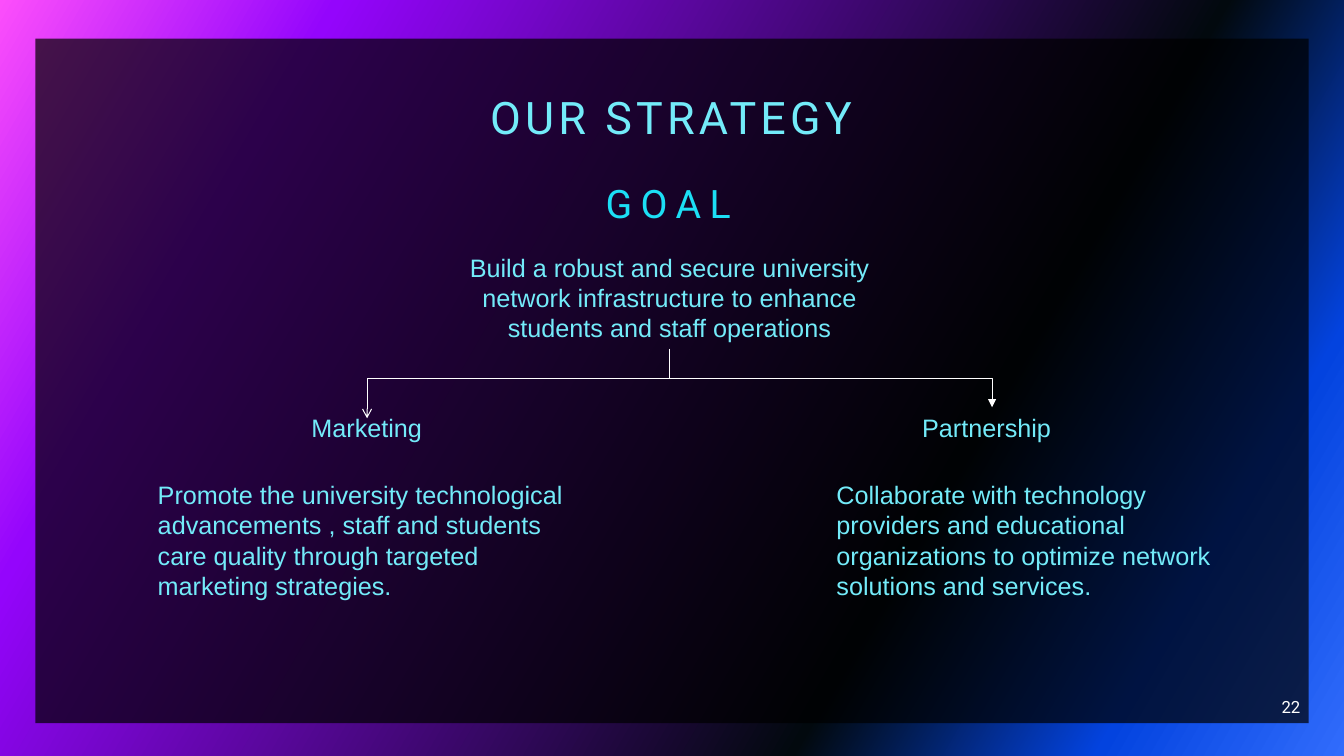
from lxml import etree
from pptx import Presentation
from pptx import util as u
from pptx.dml.color import RGBColor
from pptx.enum import shapes, text
from pptx.oxml.ns import qn

COLORS = {"panel": "000000", "white": "FFFFFF", "ice": "73EBF9", "cyan": "1CDFF5"}
BACKDROP = [(0, "316CFC"), (14, "0343DF"), (31, "02090E"), (81, "9405FC"), (100, "FC4EFB")]
COLUMNS, ROWS = 16, 9
ALIGN, ANCHOR = text.PP_ALIGN, text.MSO_ANCHOR


class StrategyPage:
    """Draws styled elements on one slide, measured in columns and rows."""

    def __init__(self, deck):
        self.column = deck.slide_width / COLUMNS
        self.row = deck.slide_height / ROWS
        self.page = deck.slides.add_slide(deck.slide_layouts[0])

    def place(self, left, top, width, height):
        return [int(left * self.column), int(top * self.row),
                int(width * self.column), int(height * self.row)]

    def color(self, name):
        return RGBColor.from_string(COLORS[name])

    def backdrop(self, stops, angle):
        fill = self.page.background.fill
        fill.gradient()
        fill.gradient_angle = angle
        stop_list = self.page.element.find(".//" + qn("a:gsLst"))
        for old_stop in list(stop_list):
            stop_list.remove(old_stop)
        for percent, value in stops:
            stop = etree.SubElement(stop_list, qn("a:gs"), pos=str(percent * 1000))
            etree.SubElement(stop, qn("a:srgbClr"), val=value)

    def panel(self, area, opacity):
        box = self.page.shapes.add_shape(shapes.MSO_SHAPE.RECTANGLE, *self.place(*area))
        box.shadow.inherit = False
        box.fill.solid()
        box.fill.fore_color.rgb = self.color("panel")
        box.line.fill.background()
        tint = box.element.spPr.find(".//" + qn("a:srgbClr"))
        etree.SubElement(tint, qn("a:alpha"), val=str(opacity * 1000))
        box.element.getparent().insert(2, box.element)

    def set_text(self, box, wording, size=18, font="Arial", color="ice",
                 align=ALIGN.LEFT, anchor=ANCHOR.TOP, spacing=0):
        frame = box.text_frame
        frame.text = wording
        frame.word_wrap = True
        frame.auto_size = text.MSO_AUTO_SIZE.NONE
        frame.vertical_anchor = anchor
        para = frame.paragraphs[0]
        para.alignment = align
        span = para.runs[0]
        span.font.size = u.Pt(size)
        span.font.name = font
        span.font.color.rgb = self.color(color)
        if spacing:
            box.element.find(".//" + qn("a:rPr")).set("spc", str(spacing * 100))
        return para

    def heading(self, index, area, wording, before=0, **style):
        box = self.page.placeholders[index]
        box.left, box.top, box.width, box.height = self.place(*area)
        para = self.set_text(box, wording, font="Roboto", align=ALIGN.CENTER, **style)
        para.line_spacing = 0.9
        para.space_before = u.Pt(before)

    def label(self, area, wording, **style):
        box = self.page.shapes.add_textbox(*self.place(*area))
        self.set_text(box, wording, **style)

    def branch(self, start, end, bend, weight, head):
        (x1, y1), (x2, y2) = start, end
        drop, reach = y2 - y1, abs(x2 - x1)
        rightward = x2 > x1
        left = (x1 + x2 - drop) / 2
        top = (y1 + y2 - reach) / 2
        x, y, width, height = self.place(left, top, drop, reach)
        ends = (x + width, x) if rightward else (x, x + width)
        arrow = self.page.shapes.add_connector(
            shapes.MSO_CONNECTOR.ELBOW, ends[0], y, ends[1], y + height)
        properties = arrow.element.spPr
        properties.find(qn("a:xfrm")).set("rot", str((270 if rightward else 90) * 60000))
        guides = properties.find(qn("a:prstGeom")).get_or_add_avLst()
        etree.SubElement(guides, qn("a:gd"), name="adj1", fmla=f"val {bend * 1000}")
        arrow.line.color.rgb = self.color("white")
        arrow.line.width = u.Pt(weight)
        etree.SubElement(properties.find(qn("a:ln")), qn("a:tailEnd"), type=head)
        etree.SubElement(properties, qn("a:effectLst"))


def main():
    deck = Presentation()
    deck.slide_width, deck.slide_height = u.Inches(13.33), u.Inches(7.5)
    strategy = StrategyPage(deck)
    strategy.backdrop(BACKDROP, 150)
    strategy.panel((0.42, 0.46, 15.16, 8.15), 70)
    strategy.heading(0, (0.41, 0.46, 15.16, 1.32), "OUR STRATEGY",
                     size=32, anchor=ANCHOR.BOTTOM, spacing=3)
    strategy.heading(1, (0.37, 2.14, 15.17, 3.07), "GOAL",
                     before=10, size=28, color="cyan", spacing=6)
    strategy.label((12, 8.17, 3.6, 0.48), "22", size=12, font="Roboto",
                   color="white", align=ALIGN.RIGHT, anchor=ANCHOR.MIDDLE)
    strategy.label((5.14, 2.94, 5.66, 1.21),
                   "Build a robust and secure university network infrastructure "
                   "to enhance students and staff operations", align=ALIGN.CENTER)

    pillars = [
        ("Marketing", 3.59, 1.79, 1.76, 5.21,
         "Promote the university technological advancements , staff and students "
         "care quality through targeted marketing strategies."),
        ("Partnership", 10.86, 1.9, 9.84, 4.87,
         "Collaborate with technology providers and educational organizations "
         "to optimize network solutions and services."),
    ]
    for name, name_left, name_width, left, width, details in pillars:
        strategy.label((name_left, 4.85, name_width, 0.48), name)
        strategy.label((left, 5.65, width, 1.57), details)

    strategy.branch((7.97, 4.28), (4.37, 4.98), 33, 0.75, "arrow")
    strategy.branch((7.97, 4.15), (11.81, 4.85), 50, 0.5, "triangle")
    deck.save("out.pptx")


if __name__ == "__main__":
    main()
